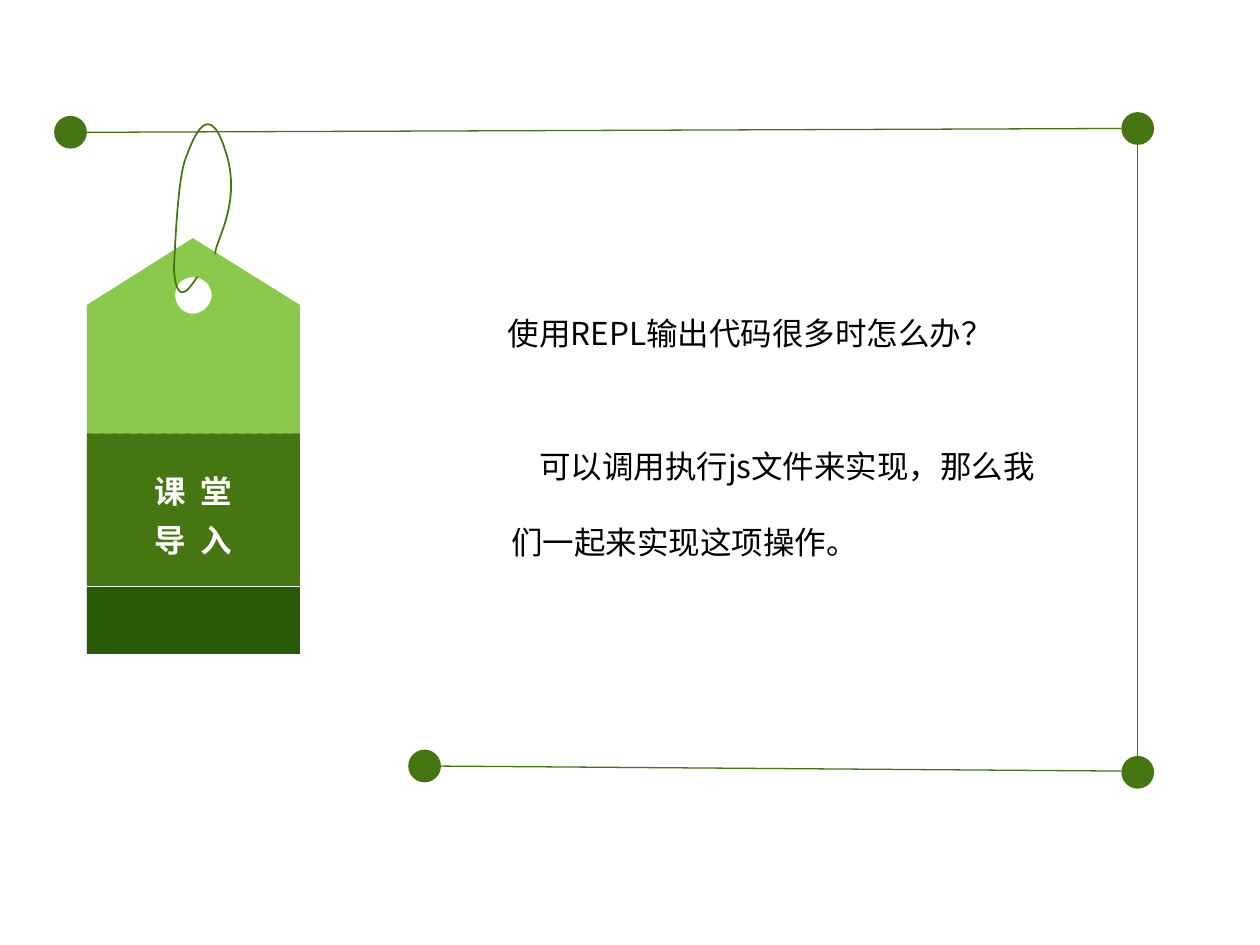
from dataclasses import dataclass
from typing import Optional

from lxml.etree import SubElement
from pptx import Presentation
from pptx.dml.color import RGBColor
from pptx.enum.dml import MSO_LINE_DASH_STYLE as Dash
from pptx.enum.shapes import MSO_CONNECTOR as Connector
from pptx.enum.shapes import MSO_SHAPE as Shape
from pptx.enum.text import MSO_ANCHOR as Anchor
from pptx.enum.text import MSO_AUTO_SIZE as AutoSize
from pptx.enum.text import PP_ALIGN as Align
from pptx.oxml.ns import qn
from pptx.util import Inches, Pt

LIGHT_GREEN = RGBColor(0x8B, 0xC9, 0x4C)
GREEN = RGBColor(0x46, 0x76, 0x12)
DARK_GREEN = RGBColor(0x29, 0x5A, 0x07)
WHITE = RGBColor(0xFF, 0xFF, 0xFF)
BLACK = RGBColor(0, 0, 0)
FONT = "Noto Sans CJK SC"

TAG_LEFT, TAG_WIDTH = 0.69, 1.69
TAG_RIGHT = TAG_LEFT + TAG_WIDTH
TAG_TOP, SHOULDER, LABEL_TOP, FOOT_TOP, TAG_BOTTOM = 1.89, 2.42, 3.44, 4.65, 5.19
DOT_SIZE = 0.26

Point = tuple[float, float]


@dataclass(frozen=True)
class Box:
    left: float
    top: float
    width: float
    height: float

    def lengths(self) -> list[Inches]:
        return [Inches(value) for value in (self.left, self.top, self.width, self.height)]


@dataclass(frozen=True)
class Line:
    start: Point
    end: Point
    color: RGBColor = GREEN
    width: float = 0.75
    dash: Optional[Dash] = None


@dataclass(frozen=True)
class Contour:
    start: Point
    segments: list[tuple[Point, ...]]
    closed: bool = True


DOTS = [(0.43, 0.92), (8.9, 0.89), (3.24, 5.95), (8.9, 6)]
FRAME = [
    Line((0.69, 1.05), (8.9, 1.02)),
    Line((3.49, 6.08), (8.9, 6.12)),
    Line((9.03, 1.12), (9.03, 6.08)),
]
TAG_LINES = [
    Line((TAG_LEFT, FOOT_TOP), (TAG_RIGHT, FOOT_TOP), WHITE),
    Line((0.74, LABEL_TOP), (2.32, LABEL_TOP), WHITE, 1, Dash.DASH),
]
HOLE = Contour((1.53, 2.2), [
    ((1.45, 2.2), (1.39, 2.26), (1.39, 2.34)),
    ((1.39, 2.42), (1.45, 2.49), (1.53, 2.49)),
    ((1.61, 2.49), (1.68, 2.42), (1.68, 2.34)),
    ((1.68, 2.26), (1.61, 2.2), (1.53, 2.2)),
])
TAG_EDGE = Contour((1.53, TAG_TOP), [
    ((TAG_RIGHT, SHOULDER),), ((TAG_RIGHT, TAG_BOTTOM),),
    ((TAG_LEFT, TAG_BOTTOM),), ((TAG_LEFT, SHOULDER),),
])
STRING = Contour((1.57, 2.2), [
    ((1.57, 2.16), (1.41, 2.53), (1.38, 2.14)),
    ((1.39, 1.96), (1.41, 1.39), (1.48, 1.24)),
    ((1.54, 1.08), (1.66, 0.78), (1.79, 1.2)),
    ((1.93, 1.62), (1.69, 1.94), (1.71, 2.02)),
], closed=False)


def add_command(outline, name: str, points: tuple[Point, ...], box: Box) -> None:
    command = SubElement(outline, qn(name))
    for x, y in points:
        SubElement(command, qn("a:pt"), x=str(Inches(x - box.left)), y=str(Inches(y - box.top)))


def add_outline(shapes, box: Box, contours: list[Contour]):
    left, top, width, height = box.lengths()
    builder = shapes.build_freeform(left, top)
    builder.add_line_segments([(left + width, top + height)], close=False)
    shape = builder.convert_to_shape()
    shape.shadow.inherit = False
    outline = next(shape._element.iter(qn("a:path")))
    for command in list(outline):
        outline.remove(command)
    for contour in contours:
        add_command(outline, "a:moveTo", (contour.start,), box)
        for points in contour.segments:
            name = "a:cubicBezTo" if len(points) == 3 else "a:lnTo"
            add_command(outline, name, points, box)
        if contour.closed:
            SubElement(outline, qn("a:close"))
    return shape


def paint(shape, color: RGBColor) -> None:
    shape.fill.solid()
    shape.fill.fore_color.rgb = color
    shape.line.fill.background()


def add_filled(shapes, kind: Shape, box: Box, color: RGBColor):
    shape = shapes.add_shape(kind, *box.lengths())
    shape.shadow.inherit = False
    paint(shape, color)
    return shape


def add_line(shapes, line: Line) -> None:
    ends = [Inches(value) for value in (*line.start, *line.end)]
    connector = shapes.add_connector(Connector.STRAIGHT, *ends)
    connector.line.color.rgb = line.color
    connector.line.width = Pt(line.width)
    if line.dash is not None:
        connector.line.dash_style = line.dash
    SubElement(connector._element.spPr, qn("a:effectLst"))


def write_text(shape, text: str, *, color: RGBColor = BLACK, bold: bool = False,
               align: Align = Align.LEFT, anchor: Anchor = Anchor.TOP,
               line_spacing: float = 2.0, indent: float = 0,
               letter_spacing: float = 0, side_inset: float = 0.1,
               auto_size: AutoSize = AutoSize.SHAPE_TO_FIT_TEXT) -> None:
    frame = shape.text_frame
    frame.word_wrap = True
    frame.auto_size = auto_size
    frame.vertical_anchor = anchor
    frame.margin_left = frame.margin_right = Inches(side_inset)
    frame.margin_top = frame.margin_bottom = Inches(0.05)
    for index, content in enumerate(text.split("\n")):
        paragraph = frame.add_paragraph() if index else frame.paragraphs[0]
        paragraph.alignment = align
        paragraph.line_spacing = line_spacing
        if indent:
            paragraph._p.get_or_add_pPr().set("indent", str(Inches(indent)))
        run = paragraph.add_run()
        run.text = content
        run.font.size = Pt(18)
        run.font.bold = bold
        run.font.color.rgb = color
        run.font.name = FONT
        properties = run._r.get_or_add_rPr()
        SubElement(properties, qn("a:ea"), typeface=FONT)
        if letter_spacing:
            properties.set("spc", str(round(letter_spacing * 100)))


def add_tag(slide) -> None:
    shapes = slide.shapes.add_group_shape().shapes
    tag_box = Box(TAG_LEFT, TAG_TOP, TAG_WIDTH, TAG_BOTTOM - TAG_TOP)
    paint(add_outline(shapes, tag_box, [HOLE, TAG_EDGE]), LIGHT_GREEN)
    add_filled(shapes, Shape.RECTANGLE,
               Box(TAG_LEFT, FOOT_TOP, TAG_WIDTH, TAG_BOTTOM - FOOT_TOP), DARK_GREEN)
    for line in TAG_LINES:
        add_line(shapes, line)
    label = add_filled(shapes, Shape.RECTANGLE,
                       Box(TAG_LEFT, LABEL_TOP, TAG_WIDTH, FOOT_TOP - LABEL_TOP), GREEN)
    write_text(label, "课 堂\n导 入", color=WHITE, bold=True, align=Align.CENTER,
               anchor=Anchor.MIDDLE, line_spacing=1.3, letter_spacing=2,
               side_inset=0.06, auto_size=AutoSize.NONE)
    string = add_outline(shapes, Box(1.38, 0.99, 0.45, 1.33), [STRING])
    string.fill.background()
    string.line.color.rgb = GREEN
    string.line.width = Pt(1)


def main() -> None:
    presentation = Presentation()
    presentation.slide_width, presentation.slide_height = Inches(10), Inches(7.5)
    slide = presentation.slides.add_slide(presentation.slide_layouts[5])
    add_tag(slide)
    for left, top in DOTS:
        add_filled(slide.shapes, Shape.OVAL, Box(left, top, DOT_SIZE, DOT_SIZE), GREEN)
    for line in FRAME:
        add_line(slide.shapes, line)
    answer = slide.shapes.add_textbox(*Box(3.96, 3.2, 4.58, 1.31).lengths())
    write_text(answer, "可以调用执行js文件来实现，那么我们一起来实现这项操作。", indent=0.22)
    question = slide.shapes.title
    question.left, question.top, question.width, question.height = Box(3.93, 2.14, 4.58, 0.6).lengths()
    write_text(question, "使用REPL输出代码很多时怎么办？")
    presentation.save("out.pptx")


if __name__ == "__main__":
    main()
